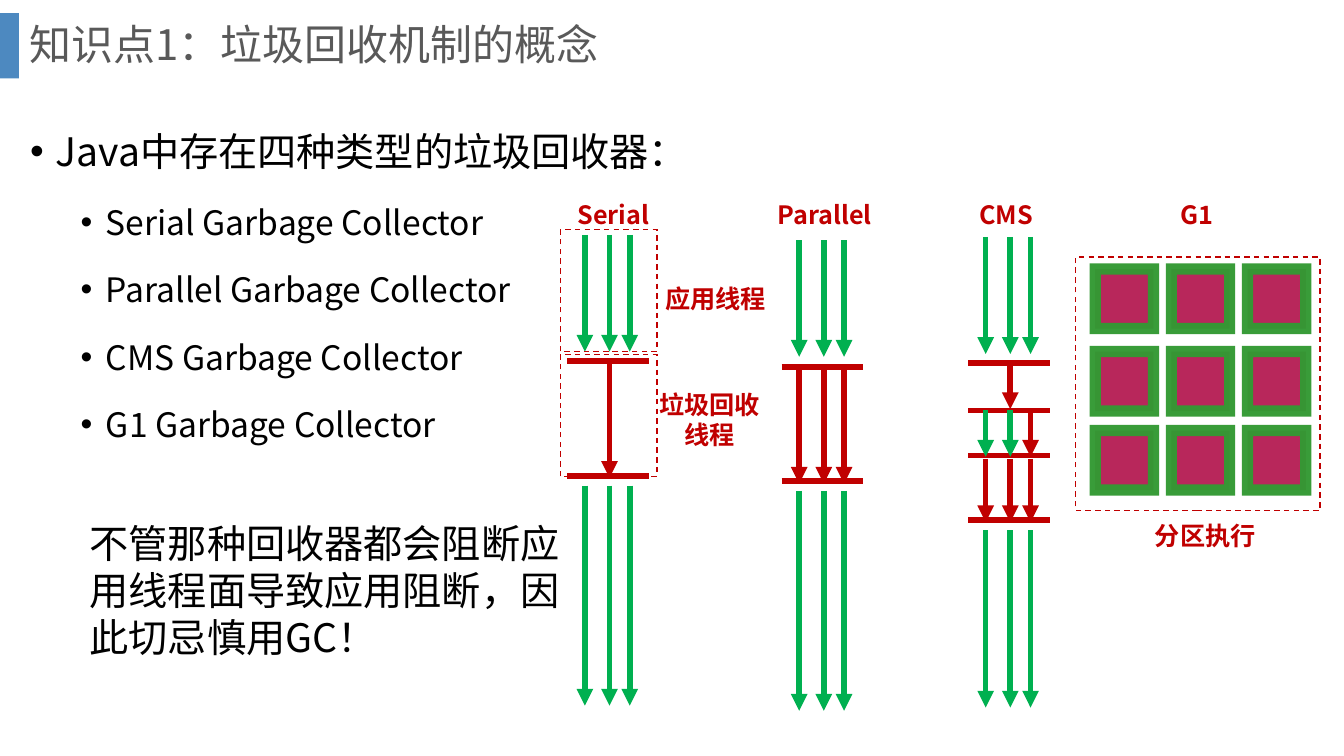
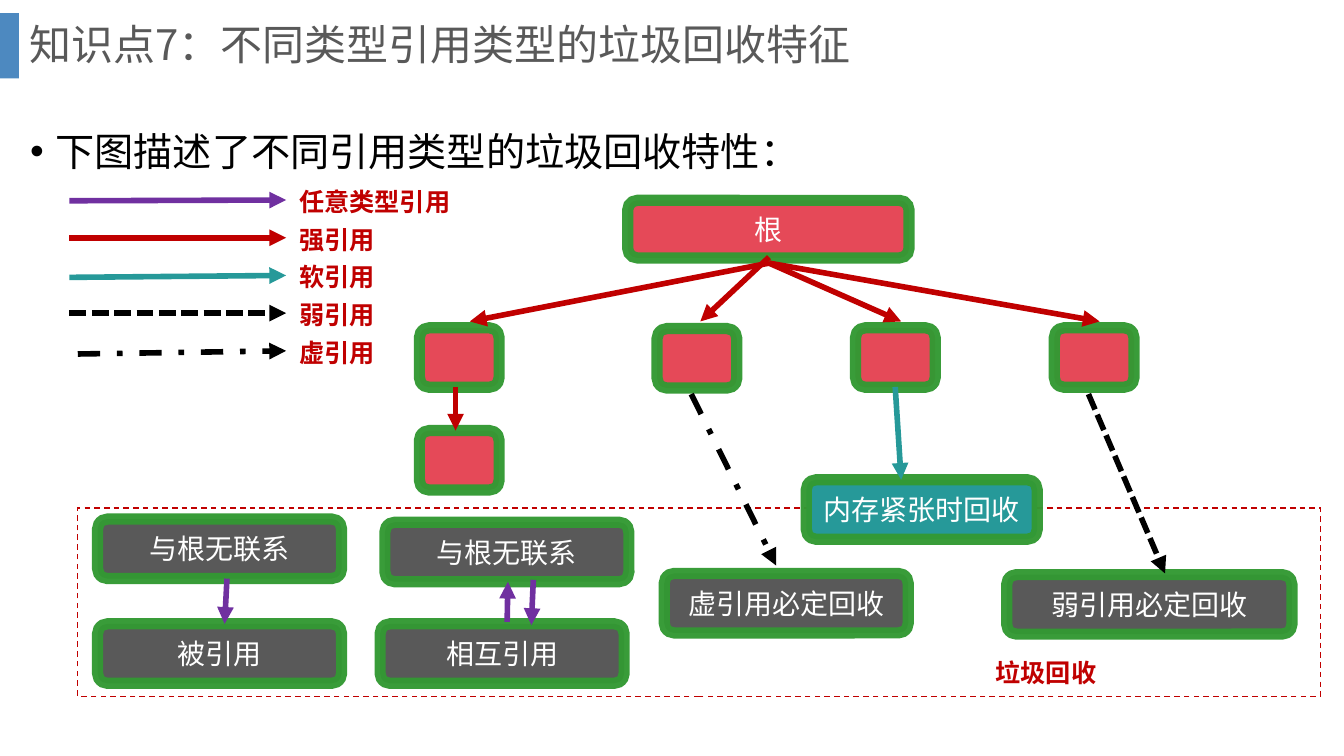
import dataclasses

import lxml.etree
import pptx
import pptx.dml.color
import pptx.enum.dml
import pptx.enum.shapes
import pptx.enum.text
import pptx.oxml.ns
import pptx.util

Cm, Pt = pptx.util.Cm, pptx.util.Pt
qn = pptx.oxml.ns.qn
rgb = pptx.dml.color.RGBColor.from_string
SHAPE = pptx.enum.shapes.MSO_SHAPE
DASH = pptx.enum.dml.MSO_LINE
ALIGN = pptx.enum.text.PP_ALIGN
ANCHOR = pptx.enum.text.MSO_ANCHOR


@dataclasses.dataclass(frozen=True)
class Theme:
    font: str = "Noto Sans CJK SC"
    band: str = "2E75B6"
    gray: str = "595959"
    black: str = "000000"
    white: str = "FFFFFF"
    red: str = "C00000"
    green: str = "00B050"
    border: str = "339933"
    region: str = "B8275B"
    node: str = "E54958"
    teal: str = "269999"
    purple: str = "7030A0"
    title_size: int = 30
    body_size: int = 28
    sub_size: int = 24
    node_size: int = 20
    label_size: int = 18


T = Theme()


def box(s, x, y, w, h, text="", fill=None, kind=SHAPE.RECTANGLE, align=ALIGN.CENTER):
    """Bordered box with a fill, red label with text only, else a dashed frame."""
    at = Cm(x), Cm(y), Cm(w), Cm(h)
    if text and not fill:
        sp = s.shapes.add_textbox(*at)
    else:
        sp = s.shapes.add_shape(kind, *at)
        sp.shadow.inherit = False
        sp.line.color.rgb = rgb(T.border if fill else T.red)
        sp.line.width = Pt(8 if fill else 1)
        ln = sp.element.spPr.find(qn("a:ln"))
        if fill:
            sp.fill.solid()
            sp.fill.fore_color.rgb = rgb(fill)
            lxml.etree.SubElement(ln.find(".//" + qn("a:srgbClr")), qn("a:alpha"), val="96000")
        else:
            sp.fill.background()
            sp.line.dash_style = DASH.DASH
        lxml.etree.SubElement(ln, qn("a:miter"), lim="800000")
    if text:
        tf = sp.text_frame
        tf.word_wrap = True
        tf.vertical_anchor = ANCHOR.MIDDLE if fill else ANCHOR.TOP
        tf.text = text
        for p in tf.paragraphs:
            p.alignment = align
            for r in p.runs:
                r.font.size = Pt(T.node_size if fill else T.label_size)
                r.font.bold = not fill
                r.font.color.rgb = rgb(T.white if fill else T.red)
    return sp


def line(s, x1, y1, x2, y2, color, dash=None, arrow=True):
    """Thick straight line, with an arrowhead at its end unless told otherwise."""
    c = s.shapes.add_connector(
        pptx.enum.shapes.MSO_CONNECTOR.STRAIGHT, Cm(x1), Cm(y1), Cm(x2), Cm(y2))
    c.line.color.rgb = rgb(color)
    c.line.width = Pt(4)
    if dash:
        c.line.dash_style = dash
    spPr = c.element.spPr
    if arrow:
        lxml.etree.SubElement(spPr.find(qn("a:ln")), qn("a:tailEnd"), type="triangle")
    lxml.etree.SubElement(spPr, qn("a:effectLst"))


prs = pptx.Presentation()
prs.slide_width, prs.slide_height = Cm(33.87), Cm(19.05)

# Title, band and bullets of every slide
pages = [
    ("知识点1：垃圾回收机制的概念",
     ["Java中存在四种类型的垃圾回收器：", "Serial Garbage Collector",
      "Parallel Garbage Collector", "CMS Garbage Collector", "G1 Garbage Collector"]),
    ("知识点7：不同类型引用类型的垃圾回收特征",
     ["下图描述了不同引用类型的垃圾回收特性："]),
]
for title, bullets in pages:
    s = prs.slides.add_slide(prs.slide_layouts[5])

    sp = s.shapes.add_shape(SHAPE.RECTANGLE, 0, Cm(0.33), Cm(0.48), Cm(1.65))
    sp.shadow.inherit = False
    sp.fill.solid()
    sp.fill.fore_color.rgb = rgb(T.band)
    clr = sp.element.spPr.find(".//" + qn("a:srgbClr"))
    lxml.etree.SubElement(clr, qn("a:alpha"), val="85000")
    sp.line.fill.background()

    sp = s.shapes.title
    sp.left, sp.top, sp.width, sp.height = Cm(0.48), Cm(0), Cm(32.16), Cm(2.36)
    tf = sp.text_frame
    tf.text = title
    tf.auto_size = pptx.enum.text.MSO_AUTO_SIZE.NONE
    tf.vertical_anchor = ANCHOR.MIDDLE
    p = tf.paragraphs[0]
    p.alignment = ALIGN.LEFT
    p.line_spacing = 0.9
    p.runs[0].font.size = Pt(T.title_size)
    p.runs[0].font.color.rgb = rgb(T.gray)

    tf = s.shapes.add_textbox(Cm(0.51), Cm(2.49), Cm(32.77), Cm(15.14)).text_frame
    tf.word_wrap = True
    tf.text = "\n".join(bullets)
    for i, p in enumerate(tf.paragraphs):
        p.level = 1 if i else 0
        p.line_spacing = 1.5
        p.space_before = Pt(5 if i else 10)
        p.runs[0].font.size = Pt(T.sub_size if i else T.body_size)
        p.runs[0].font.color.rgb = rgb(T.black)
        pPr = p._p.get_or_add_pPr()
        pPr.set("marL", str(Cm(1.91 if i else 0.64)))
        pPr.set("indent", str(-Cm(0.64)))
        lxml.etree.SubElement(pPr, qn("a:buFont"), typeface="Arial")
        lxml.etree.SubElement(pPr, qn("a:buChar"), char="•")

collectors_slide, references_slide = prs.slides

# Slide 1: thread timelines; each phase has one letter per thread
s = collectors_slide
thread_colors = {"g": T.green, "r": T.red}
thread_offsets = (0, 0.62, 1.13)
collectors = [
    ("Serial", 14.3, 14.74, (9.09, 11.99),
     [(5.92, 8.86, "ggg"), (9.09, 12.04, "-r-"), (12.24, 17.78, "ggg")]),
    ("Parallel", 19.35, 20.14, (9.25, 12.12),
     [(6.05, 8.99, "ggg"), (9.25, 12.19, "rrr"), (12.37, 17.91, "ggg")]),
    ("CMS", 24.43, 24.84, (9.14, 10.34, 11.48, 13.11),
     [(5.97, 8.92, "ggg"), (9.14, 10.31, "-r-"), (10.34, 11.51, "ggr"),
      (11.56, 13.16, "rrr"), (13.36, 17.83, "ggg")]),
]
for name, label_x, x, pauses, phases in collectors:
    box(s, label_x, 4.9, 4, 1.02, name, align=ALIGN.LEFT)
    for y in pauses:
        line(s, x - 0.44, y, x + 1.62, y, T.red, arrow=False)
    for top, bottom, threads in phases:
        for dx, key in zip(thread_offsets, threads):
            if key in thread_colors:
                line(s, x + dx, top, x + dx, bottom, thread_colors[key])

# Frames and labels of the serial timeline
for y in (5.79, 8.94):
    box(s, 14.12, y, 2.44, 3.07)
box(s, 16.51, 7.01, 4, 1.02, "应用线程", align=ALIGN.LEFT)
box(s, 15.98, 9.68, 3.81, 1.8, "垃圾回收\n线程")

# G1 regions
box(s, 29.49, 4.9, 3.15, 1.02, "G1", align=ALIGN.LEFT)
for y in (6.78, 8.86, 10.85):
    for col in range(3):
        box(s, 27.6 + 1.92 * col, y, 1.47, 1.5, fill=T.region)
box(s, 27.1, 6.48, 6.17, 6.38)
box(s, 28.47, 12.98, 3.81, 1.02, "分区执行")

# Closing remark
tf = s.shapes.add_textbox(Cm(2.01), Cm(12.95), Cm(12.8), Cm(3.84)).text_frame
tf.word_wrap = True
tf.text = "不管那种回收器都会阻断应用线程面导致应用阻断，因此切忌慎用GC！"
r = tf.paragraphs[0].runs[0]
r.font.size = Pt(T.body_size)
r.font.color.rgb = rgb(T.black)

# Slide 2: reachable objects, then the frame of collected ones
s = references_slide
rounded = SHAPE.ROUNDED_RECTANGLE
box(s, 15.82, 5.05, 7.09, 1.45, "根", T.node, rounded)
for x, y in ((10.57, 8.26), (16.56, 8.28), (21.56, 8.26), (26.57, 8.26), (10.57, 10.85)):
    box(s, x, y, 2.01, 1.5, fill=T.node, kind=rounded)
box(s, 1.96, 12.8, 31.32, 4.75)
for x, y, w, text, fill in (
    (20.32, 12.09, 5.82, "内存紧张时回收", T.teal),
    (16.74, 14.45, 6.15, "虚引用必定回收", T.gray),
    (25.37, 14.48, 7.19, "弱引用必定回收", T.gray),
    (2.46, 13.08, 6.15, "与根无联系", T.gray),
    (2.46, 15.72, 6.15, "被引用", T.gray),
    (9.7, 13.16, 6.15, "与根无联系", T.gray),
    (9.58, 15.72, 6.15, "相互引用", T.gray),
):
    box(s, x, y, w, 1.5, text, fill, rounded)
box(s, 24.84, 16.43, 3.73, 1.02, "垃圾回收", align=ALIGN.LEFT)

# References between objects
for x1, y1, x2, y2, color, dash in (
    (19.38, 6.63, 11.84, 8.1, T.red, None),
    (19.38, 6.48, 17.65, 8.1, T.red, None),
    (19.38, 6.63, 22.71, 8.1, T.red, None),
    (19.38, 6.63, 27.71, 8.1, T.red, None),
    (11.48, 9.75, 11.48, 10.85, T.red, None),
    (22.56, 9.75, 22.71, 12.09, T.teal, None),
    (17.42, 9.93, 19.56, 14.25, T.black, DASH.DASH_DOT),
    (27.43, 9.93, 29.36, 14.45, T.black, DASH.SQUARE_DOT),
    (5.72, 14.58, 5.66, 15.72, T.purple, None),
    (13.44, 14.61, 13.39, 15.75, T.purple, None),
    (12.78, 15.67, 12.8, 14.66, T.purple, None),
):
    line(s, x1, y1, x2, y2, color, dash)

# Legend: name, start, rise of the arrow, colour and dash
legend = [
    ("任意类型引用", 1.75, 0.02, T.purple, None),
    ("强引用", 1.75, 0, T.red, None),
    ("软引用", 1.75, 0.05, T.teal, None),
    ("弱引用", 1.75, 0, T.black, DASH.SQUARE_DOT),
    ("虚引用", 1.96, 0.08, T.black, DASH.DASH_DOT),
]
for i, (name, x, rise, color, dash) in enumerate(legend):
    y = 5.04 + 0.95 * i
    line(s, x, y + rise, 7.21, y, color, dash)
    box(s, 7.29, y - 0.47, 4.83, 1.02, name, align=ALIGN.LEFT)

# One typeface for Latin and Chinese text
for s in prs.slides:
    for sp in s.shapes:
        if sp.has_text_frame:
            for p in sp.text_frame.paragraphs:
                for r in p.runs:
                    r.font.name = T.font
                    lxml.etree.SubElement(r._r.get_or_add_rPr(), qn("a:ea"), typeface=T.font)

prs.save("out.pptx")
